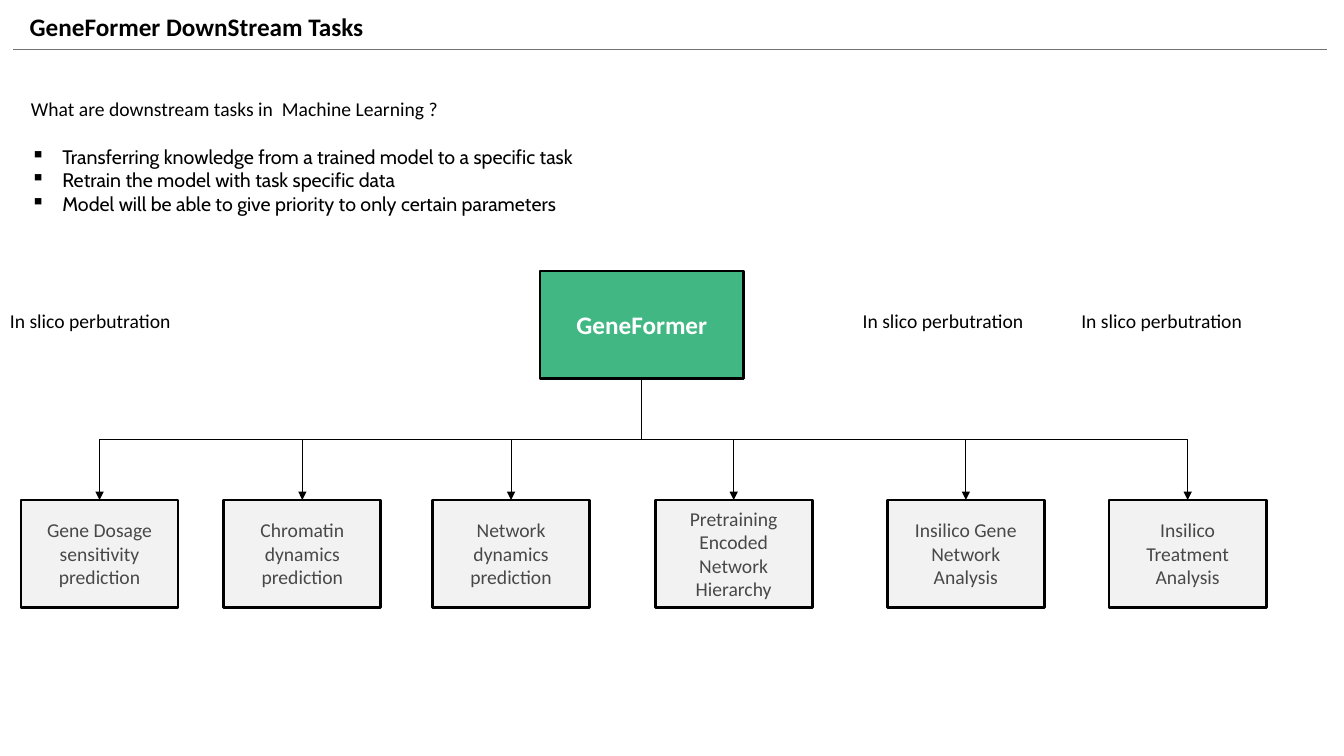
from lxml.etree import SubElement
from pptx import Presentation
from pptx.dml.color import RGBColor
from pptx.enum.shapes import MSO_CONNECTOR, MSO_SHAPE
from pptx.enum.text import MSO_ANCHOR, MSO_AUTO_SIZE, PP_ALIGN
from pptx.oxml.ns import qn
from pptx.util import Cm, Pt

BLACK = RGBColor(0x00, 0x00, 0x00)
WHITE = RGBColor(0xFF, 0xFF, 0xFF)
GREEN = RGBColor(0x41, 0xB8, 0x83)
LIGHT_GREY = RGBColor(0xF2, 0xF2, 0xF2)
DARK_GREY = RGBColor(0x48, 0x48, 0x48)
RULE_GREY = RGBColor(0x76, 0x71, 0x71)

BOTTOM, TOP = 2, 0
TASK_TOP, TASK_WIDTH, TASK_HEIGHT = 12.6, 3.96, 2.7
TASKS = [
    (0.53, "Gene Dosage sensitivity prediction"),
    (5.64, "Chromatin dynamics prediction"),
    (10.9, "Network dynamics prediction"),
    (16.51, "Pretraining Encoded Network Hierarchy"),
    (22.36, "Insilico Gene Network Analysis"),
    (27.95, "Insilico Treatment Analysis"),
]
PERTURBATION_LABELS = [(0, 5.51), (21.49, 4.8), (27, 5.51)]
QUESTION = "What are downstream tasks in  Machine Learning ?"
ANSWERS = [
    "Transferring knowledge from a trained model to a specific task",
    "Retrain the model with task specific data",
    "Model will be able to give priority to only certain parameters",
]


def write(paragraph, text, size=14, font="Calibri", color=BLACK, bold=False,
          align=PP_ALIGN.LEFT, space_before=0, bullet=None):
    paragraph.alignment = align
    paragraph.space_before = Pt(space_before)
    run = paragraph.add_run()
    run.text = text
    run.font.size = Pt(size)
    run.font.name = font
    run.font.bold = bold
    run.font.color.rgb = color
    if bullet:
        properties = paragraph._p.get_or_add_pPr()
        indent = Cm(0.79)
        properties.set("marL", str(indent))
        properties.set("indent", str(-indent))
        bullet_color = SubElement(properties, qn("a:buClr"))
        SubElement(bullet_color, qn("a:srgbClr"), val=str(color))
        SubElement(properties, qn("a:buChar"), char=bullet)


class TaskSlide:
    line_width = Pt(0.75)
    border_width = Pt(2)

    def __init__(self, presentation):
        self.slide = presentation.slides.add_slide(presentation.slide_layouts[6])

    def text_box(self, left, top, width, height, text, grow=False, **style):
        shape = self.slide.shapes.add_textbox(Cm(left), Cm(top), Cm(width), Cm(height))
        frame = shape.text_frame
        frame.word_wrap = True
        if grow:
            frame.auto_size = MSO_AUTO_SIZE.SHAPE_TO_FIT_TEXT
        write(frame.paragraphs[0], text, **style)
        return frame

    def box(self, left, top, width, height, text, fill, **style):
        shape = self.slide.shapes.add_shape(
            MSO_SHAPE.RECTANGLE, Cm(left), Cm(top), Cm(width), Cm(height))
        shape.shadow.inherit = False
        shape.fill.solid()
        shape.fill.fore_color.rgb = fill
        shape.line.color.rgb = BLACK
        shape.line.width = self.border_width
        shape.text_frame.word_wrap = True
        shape.text_frame.vertical_anchor = MSO_ANCHOR.MIDDLE
        write(shape.text_frame.paragraphs[0], text, align=PP_ALIGN.CENTER, **style)
        return shape

    def format_line(self, connector, color):
        connector.line.color.rgb = color
        connector.line.width = self.line_width
        SubElement(connector._element.spPr, qn("a:effectLst"))

    def rule(self, left, top, right):
        connector = self.slide.shapes.add_connector(
            MSO_CONNECTOR.STRAIGHT, Cm(left), Cm(top), Cm(right), Cm(top))
        self.format_line(connector, RULE_GREY)

    def branch(self, parent, child):
        """Join the parent's bottom to the child's top with an elbow arrow."""
        start_x = parent.left + parent.width // 2
        end_x = child.left + child.width // 2
        start_y, end_y = parent.top + parent.height, child.top
        connector = self.slide.shapes.add_connector(
            MSO_CONNECTOR.ELBOW, start_x, start_y, end_x, end_y)
        connector.begin_connect(parent, BOTTOM)
        connector.end_connect(child, TOP)

        # A vertical elbow is a horizontal one turned about its centre.
        connector.width = end_y - start_y
        connector.height = abs(end_x - start_x)
        connector.left = (start_x + end_x - connector.width) // 2
        connector.top = (start_y + end_y - connector.height) // 2
        goes_right = end_x > start_x
        transform = connector._element.spPr.find(qn("a:xfrm"))
        transform.set("rot", str((270 if goes_right else 90) * 60000))
        transform.set("flipH", "1" if goes_right else "0")

        self.format_line(connector, BLACK)
        SubElement(connector.line._get_or_add_ln(), qn("a:tailEnd"), type="triangle")


def main():
    presentation = Presentation()
    presentation.slide_width = Cm(33.87)
    presentation.slide_height = Cm(19.05)
    page = TaskSlide(presentation)

    page.text_box(0.5, 0.15, 13.82, 1.03, "GeneFormer DownStream Tasks",
                  grow=True, size=18, bold=True)
    page.rule(0.33, 1.25, 33.45)

    explanation = page.text_box(0.53, 2.33, 15.62, 3.25, QUESTION, grow=True)
    for index, answer in enumerate(ANSWERS):
        write(explanation.add_paragraph(), answer, font="Cabin", bullet="▪",
              space_before=0 if index else 17)

    model = page.box(13.61, 6.83, 5.13, 2.7, "GeneFormer", GREEN,
                     size=18, color=WHITE, bold=True)
    for left, task in TASKS:
        task_box = page.box(left, TASK_TOP, TASK_WIDTH, TASK_HEIGHT, task,
                            LIGHT_GREY, color=DARK_GREY)
        page.branch(model, task_box)

    for left, width in PERTURBATION_LABELS:
        page.text_box(left, 7.67, width, 1.24, "In slico perbutration")

    presentation.save("out.pptx")


if __name__ == "__main__":
    main()
